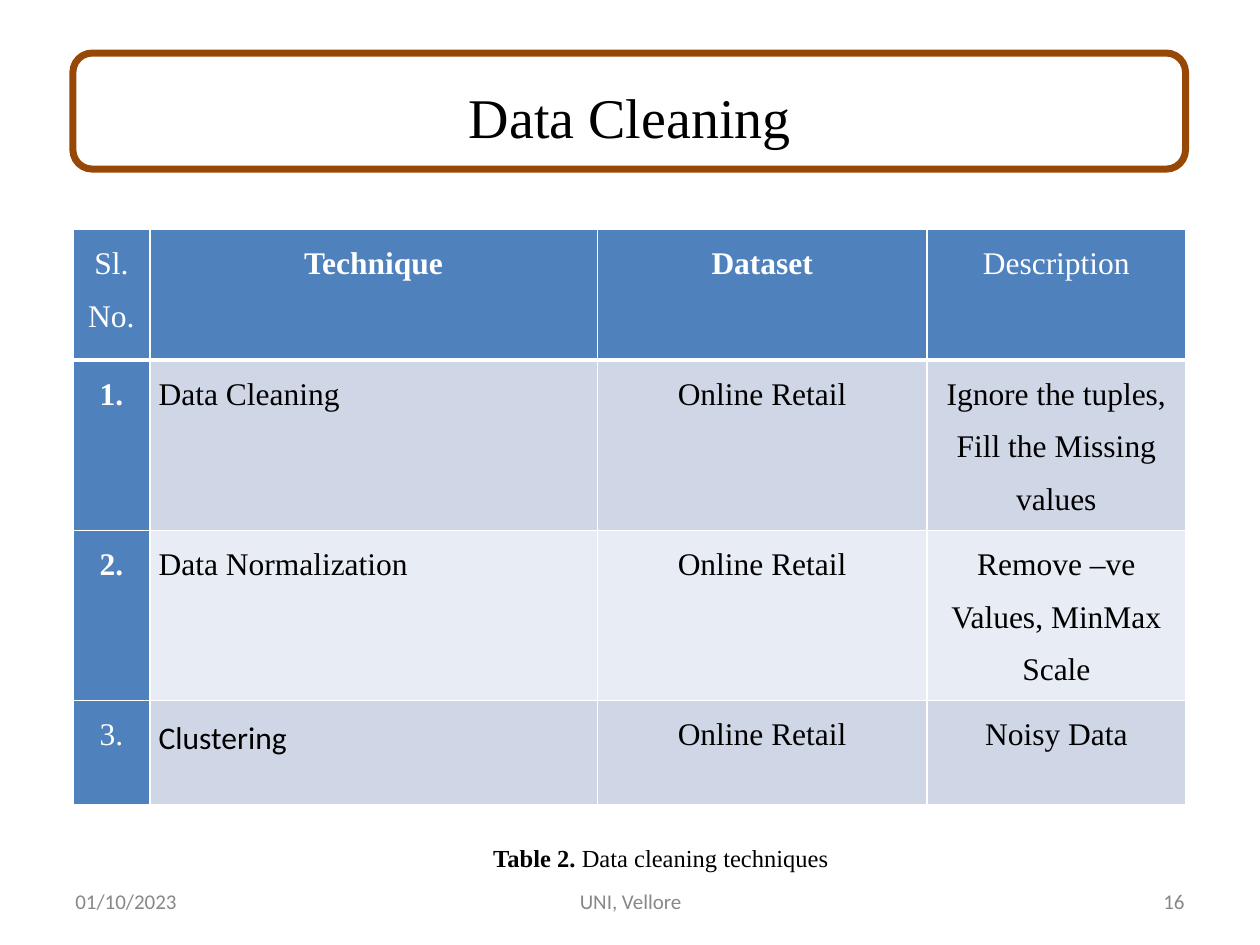
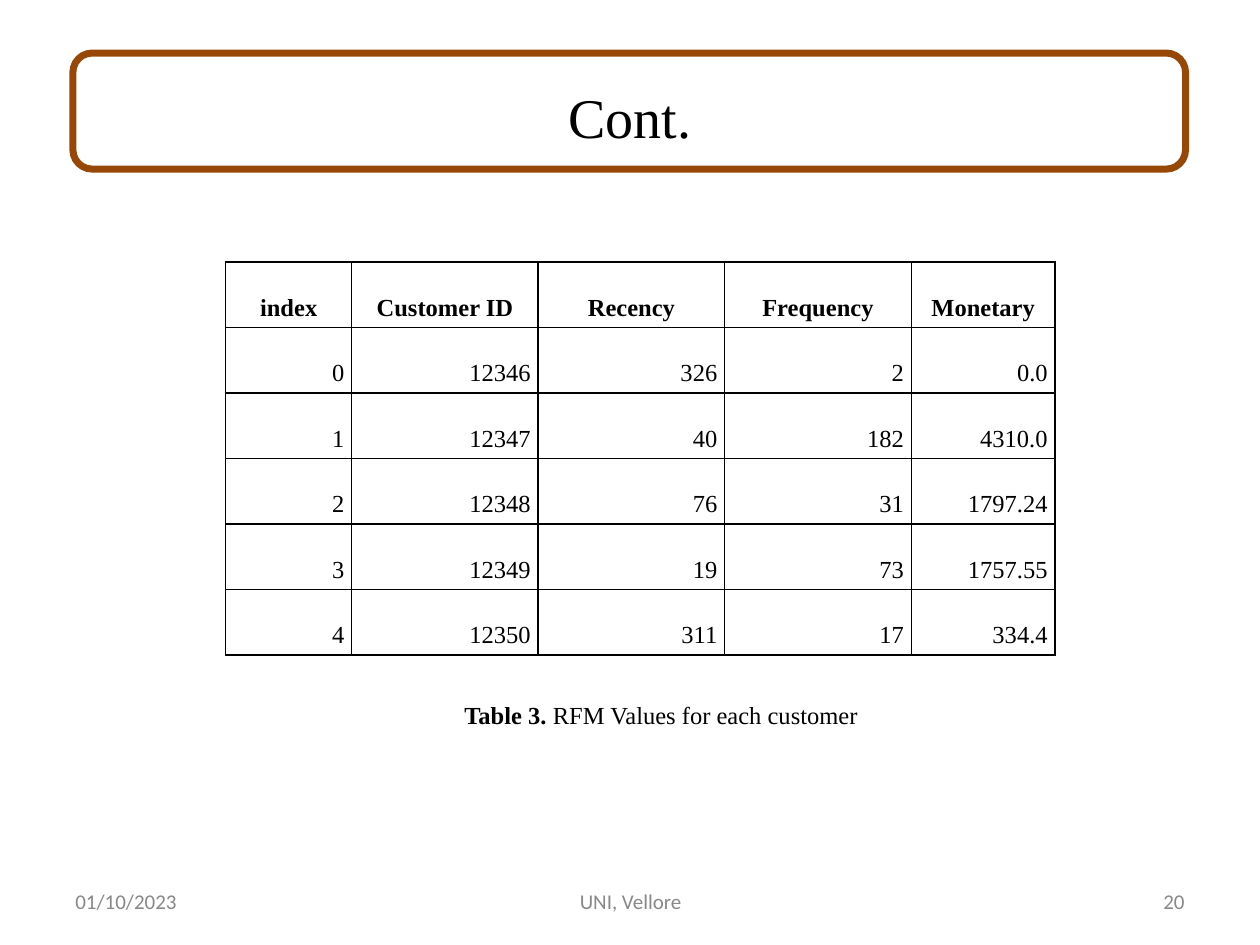
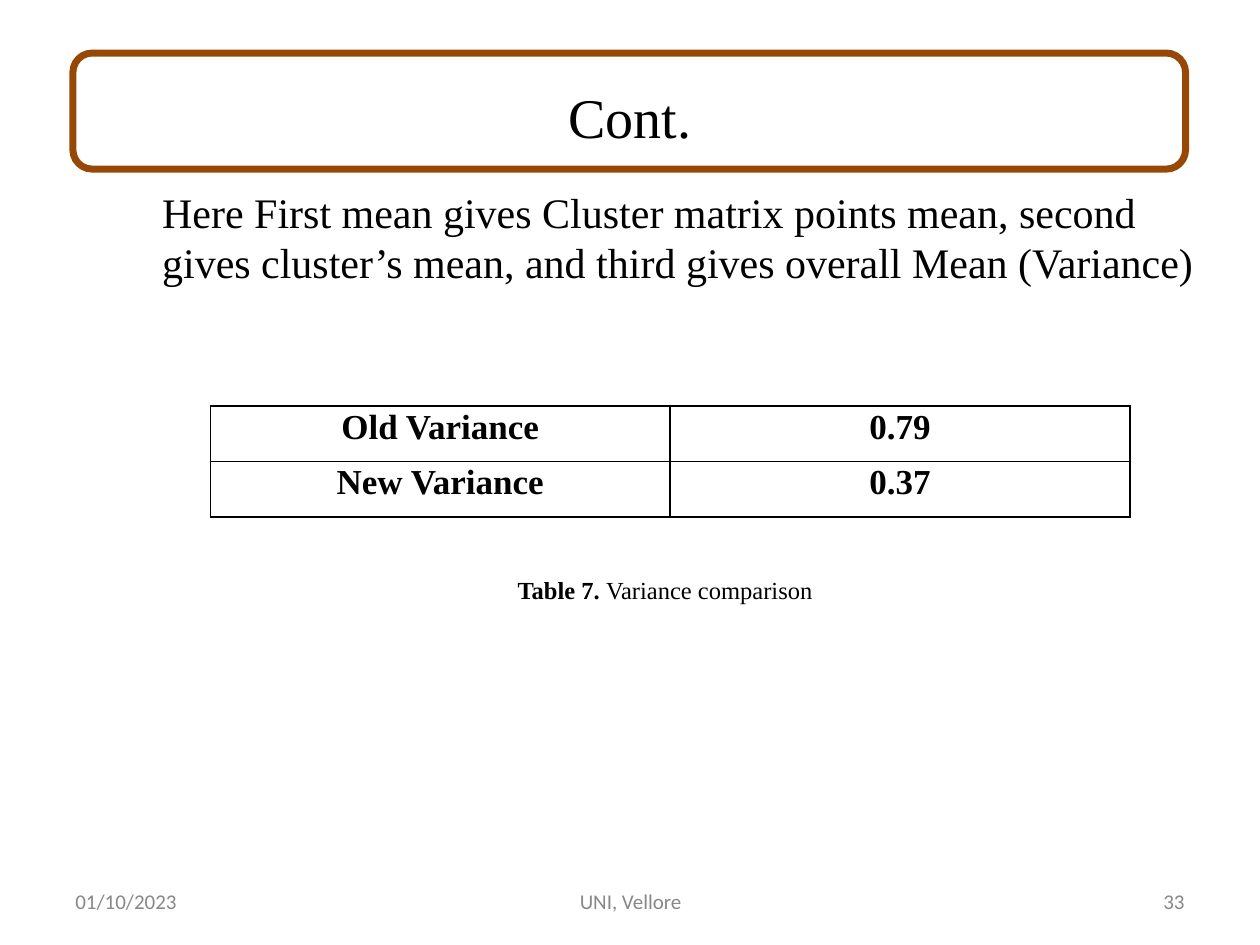
from dataclasses import dataclass

from lxml.etree import SubElement
from pptx import Presentation
from pptx.dml.color import RGBColor
from pptx.enum.shapes import MSO_SHAPE
from pptx.enum.text import MSO_ANCHOR as Anchor, PP_ALIGN as Align
from pptx.oxml.ns import qn
from pptx.util import Cm, Pt

BLACK = RGBColor(0x00, 0x00, 0x00)
WHITE = RGBColor(0xFF, 0xFF, 0xFF)
BROWN = RGBColor(0x97, 0x48, 0x06)
GREY = RGBColor(0x88, 0x88, 0x88)
BLUE = RGBColor(0x4F, 0x81, 0xBD)
BANDS = (RGBColor(0xCF, 0xD7, 0xE7), RGBColor(0xE8, 0xEC, 0xF4))
SERIF = "Times New Roman"
SANS = "Calibri"

CLEANING_ROWS = [
    ("Sl. No.", "Technique", "Dataset", "Description"),
    ("1.", "Data Cleaning", "Online Retail", "Ignore the tuples, Fill the Missing values"),
    ("2.", "Data Normalization", "Online Retail", "Remove –ve Values, MinMax Scale"),
    ("3.", "Clustering", "Online Retail", "Noisy Data"),
]
CLEANING_BOLD = {(0, 1), (0, 2), (1, 0), (2, 0)}
RFM_ROWS = [
    ("index", "Customer ID", "Recency", "Frequency", "Monetary"),
    ("0", "12346", "326", "2", "0.0"),
    ("1", "12347", "40", "182", "4310.0"),
    ("2", "12348", "76", "31", "1797.24"),
    ("3", "12349", "19", "73", "1757.55"),
    ("4", "12350", "311", "17", "334.4"),
]
VARIANCE_ROWS = [("Old Variance", "0.79"), ("New Variance", "0.37")]


@dataclass
class CellLook:
    """How one table cell is drawn."""
    size: float
    spacing: float
    bold: bool = False
    color: RGBColor = BLACK
    font: str = SERIF
    align: Align = Align.CENTER
    anchor: Anchor = Anchor.TOP
    margins: tuple = (0.18, 0)
    fill: RGBColor = None
    border: RGBColor = BLACK
    top_width: float = 1
    bottom_width: float = 1


def format_span(span, size, color=BLACK, font=SERIF, bold=False):
    """Set the font of one run."""
    span.font.size = Pt(size)
    span.font.name = font
    span.font.bold = bold
    span.font.color.rgb = color


def add_text(page, place, text, size, color=BLACK, font=SERIF,
             align=Align.LEFT, anchor=Anchor.MIDDLE):
    """Add a wrapping text box and return its paragraph."""
    box = page.shapes.add_textbox(*map(Cm, place))
    frame = box.text_frame
    frame.word_wrap = True
    frame.vertical_anchor = anchor
    frame.text = text
    para = frame.paragraphs[0]
    para.alignment = align
    format_span(para.runs[0], size, color, font)
    return para


def add_page(deck, title, number):
    """Add a slide with the framed title and the footer."""
    page = deck.slides.add_slide(deck.slide_layouts[6])
    add_text(page, (1.27, 0.76, 22.86, 3.18), title, 32, align=Align.CENTER)
    frame = page.shapes.add_shape(MSO_SHAPE.FLOWCHART_ALTERNATE_PROCESS,
                                  Cm(1.47), Cm(1.07), Cm(22.43), Cm(2.34))
    frame.shadow.inherit = False
    frame.fill.background()
    frame.line.color.rgb = BROWN
    frame.line.width = Pt(4)
    footers = [
        (1.27, 5.92, "01/10/2023", Align.LEFT),
        (8.69, 8.05, "UNI, Vellore", Align.CENTER),
        (18.21, 5.92, str(number), Align.RIGHT),
    ]
    for left, width, text, align in footers:
        add_text(page, (left, 17.65, width, 1.02), text, 12, GREY, SANS, align)
    return page


def add_caption(page, left, top, width, label, text, indent=0):
    """Add a centred table caption with a bold label."""
    box = page.shapes.add_textbox(Cm(left), Cm(top), Cm(width), Cm(1.45))
    box.text_frame.word_wrap = False
    para = box.text_frame.paragraphs[0]
    para.alignment = Align.CENTER
    para.line_spacing = 2.0
    para.space_after = Pt(8)
    para._p.get_or_add_pPr().set("indent", str(Cm(indent)))
    for words, bold in ((label + " ", True), (text, False)):
        span = para.add_run()
        span.text = words
        format_span(span, 14, bold=bold)


def set_borders(cell, look):
    """Draw the four borders of a cell."""
    widths = {"a:lnL": 1, "a:lnR": 1, "a:lnT": look.top_width, "a:lnB": look.bottom_width}
    properties = cell._tc.get_or_add_tcPr()
    for tag, width in widths.items():
        line = SubElement(properties, qn(tag), w=str(Pt(width)))
        fill = SubElement(line, qn("a:solidFill"))
        SubElement(fill, qn("a:srgbClr"), val=str(look.border))


def format_cell(cell, text, look):
    """Fill a cell with text and give it its look."""
    cell.text = text
    cell.vertical_anchor = look.anchor
    cell.margin_left = cell.margin_right = Cm(look.margins[0])
    cell.margin_top = cell.margin_bottom = Cm(look.margins[1])
    para = cell.text_frame.paragraphs[0]
    para.alignment = look.align
    para.line_spacing = look.spacing
    format_span(para.runs[0], look.size, look.color, look.font, look.bold)
    set_borders(cell, look)
    if look.fill is None:
        cell.fill.background()
    else:
        cell.fill.solid()
        cell.fill.fore_color.rgb = look.fill


def add_grid(page, left, top, widths, heights, rows, look_at):
    """Add a table whose cell looks come from look_at(row, column)."""
    shape = page.shapes.add_table(len(rows), len(widths), Cm(left), Cm(top),
                                  Cm(sum(widths)), Cm(sum(heights)))
    table = shape.table
    table.first_row = table.horz_banding = False
    for column, width in zip(table.columns, widths):
        column.width = Cm(width)
    for row, height in zip(table.rows, heights):
        row.height = Cm(height)
    for row, texts in enumerate(rows):
        for column, text in enumerate(texts):
            format_cell(table.cell(row, column), text, look_at(row, column))


def cleaning_look(row, column):
    """Give the look of a cell in the cleaning techniques table."""
    heading = row == 0 or column == 0
    return CellLook(
        18, 1.5,
        bold=(row, column) in CLEANING_BOLD,
        color=WHITE if heading else BLACK,
        font=SANS if (row, column) == (3, 1) else SERIF,
        align=Align.LEFT if column == 1 and row > 0 else Align.CENTER,
        fill=BLUE if heading else BANDS[(row - 1) % 2],
        border=WHITE,
        top_width=3 if row == 1 else 1,
        bottom_width=3 if row == 0 else 1,
    )


def rfm_look(row, column):
    """Give the look of a cell in the RFM table."""
    return CellLook(14, 2.0, bold=row == 0, anchor=Anchor.MIDDLE, margins=(0.15, 0.05),
                    align=Align.CENTER if row == 0 else Align.RIGHT)


def variance_look(row, column):
    """Give the look of a cell in the variance table."""
    return CellLook(20, 1.05, bold=True)


def add_cleaning_page(deck):
    """Add the slide on data cleaning techniques."""
    page = add_page(deck, "Data Cleaning", 16)
    add_grid(page, 1.47, 4.62, (1.55, 9.02, 6.65, 5.21), (2.64, 3.15, 3.15, 2.11),
             CLEANING_ROWS, cleaning_look)
    add_caption(page, 8.38, 16.28, 8.64, "Table 2.", "Data cleaning techniques", 1.25)


def add_rfm_page(deck):
    """Add the slide with RFM values."""
    page = add_page(deck, "Cont.", 20)
    add_grid(page, 4.55, 5.28, (2.54, 3.76, 3.76, 3.76, 2.9), [1.32] * len(RFM_ROWS),
             RFM_ROWS, rfm_look)
    add_caption(page, 7.75, 13.39, 9.91, "Table 3.", "RFM Values for each customer", 1.25)


def add_variance_page(deck):
    """Add the slide comparing variances."""
    page = add_page(deck, "Cont.", 33)
    para = add_text(page, (1.45, 3.63, 22.86, 12.57),
                    "Here First mean gives Cluster matrix points mean, second gives "
                    "cluster’s mean, and third gives overall Mean (Variance)",
                    24, anchor=Anchor.TOP)
    para.space_before = Pt(3.6)
    para._p.get_or_add_pPr().set("marL", str(Cm(1.57)))
    add_grid(page, 4.24, 8.18, (9.27, 9.27), (1.12, 1.12), VARIANCE_ROWS, variance_look)
    add_caption(page, 10.11, 10.87, 6.6, "Table 7.", "Variance comparison")


def main():
    """Build and save the deck."""
    deck = Presentation()
    deck.slide_width = Cm(25.4)
    deck.slide_height = Cm(19.05)
    add_cleaning_page(deck)
    add_rfm_page(deck)
    add_variance_page(deck)
    deck.save("out.pptx")


if __name__ == "__main__":
    main()
